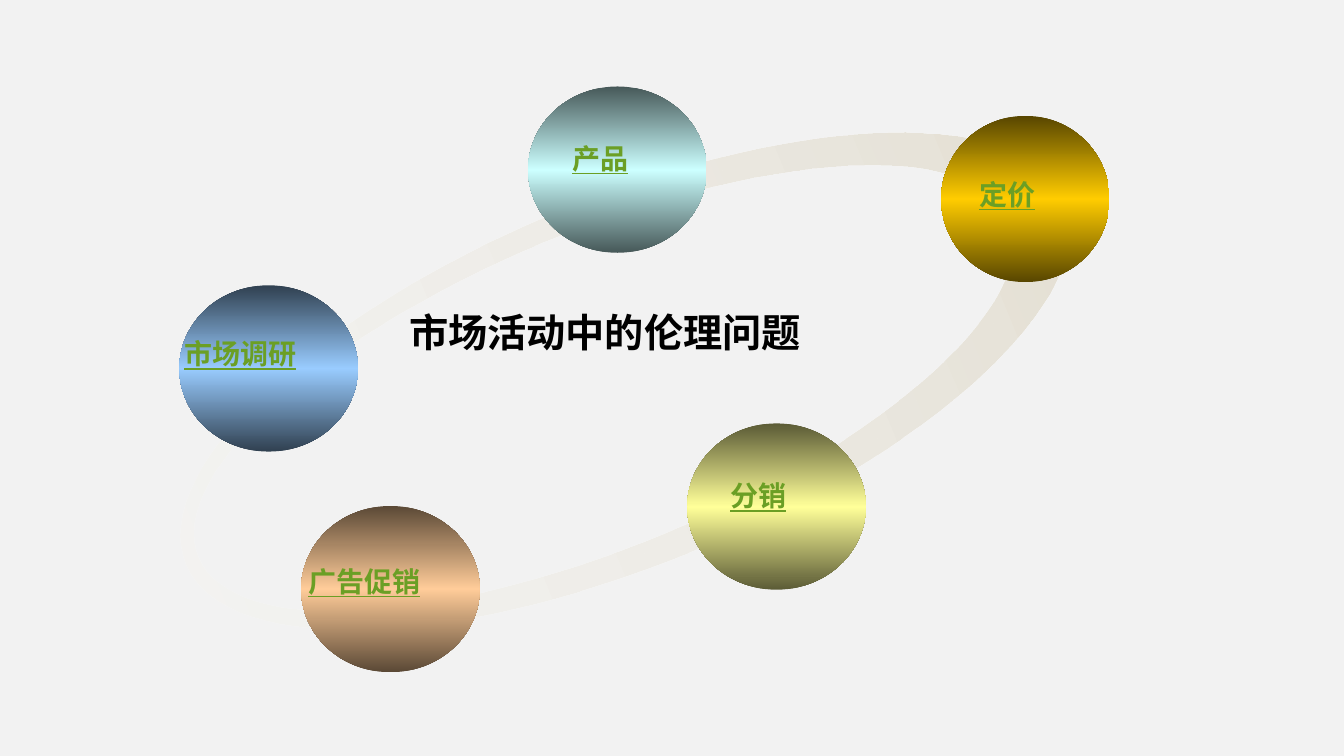
from dataclasses import dataclass
from math import cos, sin, tau

from pptx import Presentation
from pptx.dml.color import RGBColor as RGB
from pptx.enum.shapes import MSO_SHAPE as Form
from pptx.enum.text import MSO_ANCHOR as Anchor, MSO_AUTO_SIZE as Fit, PP_ALIGN as Align
from pptx.oxml.ns import qn
from pptx.util import Cm, Pt
from lxml.etree import SubElement as Sub


@dataclass(frozen=True)
class Theme:
    back: str = "F2F2F2"
    ink: str = "000000"
    link: str = "6B9F25"
    pale: str = "F7F6F2"
    sand: str = "E3DED1"
    head: int = 28
    label: int = 20
    font: str = "Arial"
    alt: str = "DejaVu Sans"


class Page:
    def __init__(self, deck, theme):
        self.theme = theme
        self.slide = deck.slides.add_slide(deck.slide_layouts[5])
        fill = self.slide.background.fill
        fill.solid()
        fill.fore_color.rgb = RGB.from_string(theme.back)

    def blend(self, shape, stops, angle):
        """Fill a shape with (position, colour, opacity) stops, in percent."""
        shape.shadow.inherit = False
        shape.line.fill.background()
        shape.fill.gradient()
        shape.fill.gradient_angle = angle
        group = shape._element.spPr.find(qn("a:gradFill")).find(qn("a:gsLst"))
        group.clear()
        for pos, color, solid in stops:
            stop = Sub(group, qn("a:gs"), pos=str(pos * 1000))
            tint = Sub(stop, qn("a:srgbClr"), val=color)
            if solid < 100:
                Sub(tint, qn("a:alpha"), val=str(solid * 1000))

    def style(self, frame, size, font, color, line=False):
        para = frame.paragraphs[0]
        para.alignment = Align.LEFT
        for run in para.runs:
            face = run.font
            face.name, face.size = font, Pt(size)
            face.bold, face.underline = True, line
            face.color.rgb = RGB.from_string(color)

    def title(self, text, left, top, width, height):
        box = self.slide.shapes.title
        box.left, box.top = Cm(left), Cm(top)
        box.width, box.height = Cm(width), Cm(height)
        frame = box.text_frame
        frame.text = text
        frame.word_wrap, frame.auto_size = True, Fit.SHAPE_TO_FIT_TEXT
        frame.vertical_anchor = Anchor.TOP
        self.style(frame, self.theme.head, self.theme.font, self.theme.ink)

    def ring(self, outer, inner, turn, steps=120):
        """Draw the band between two ellipses (x, y, half width, half height)."""
        def trace(x, y, wide, high, way):
            angles = [way * tau * i / steps for i in range(steps)]
            return [(Cm(x + wide * cos(a)), Cm(y + high * sin(a))) for a in angles]

        rim, hole = trace(*outer, 1), trace(*inner, -1)
        path = self.slide.shapes.build_freeform(*rim[0])
        path.add_line_segments(rim[1:], close=True)
        path.move_to(*hole[0])
        path.add_line_segments(hole[1:], close=True)
        band = path.convert_to_shape()
        band.rotation = turn
        self.blend(band, [(0, self.theme.pale, 36), (100, self.theme.sand, 100)], 0)

    def ball(self, left, top, width, height, edge, core):
        ball = self.slide.shapes.add_shape(
            Form.OVAL, Cm(left), Cm(top), Cm(width), Cm(height))
        self.blend(ball, [(0, edge, 100), (50, core, 100), (100, edge, 100)], 90)

    def label(self, text, left, top, width, height):
        box = self.slide.shapes.add_textbox(Cm(left), Cm(top), Cm(width), Cm(height))
        frame = box.text_frame
        frame.text = text
        frame.word_wrap, frame.auto_size = False, Fit.SHAPE_TO_FIT_TEXT
        self.style(frame, self.theme.label, self.theme.alt, self.theme.link, True)


# Each topic: text, ball left, top, width, label left, top, edge and core colour
TOPICS = [
    ("产品", 13.31, 2.18, 4.5, 14.17, 3.43, "465858", "CCFFFF"),
    ("市场调研", 4.52, 7.19, 4.5, 4.39, 8.36, "304050", "99CCFF"),
    ("广告促销", 7.59, 12.75, 4.5, 7.52, 14.1, "5B4936", "FFCC99"),
    ("分销", 17.32, 10.67, 4.5, 18.16, 11.94, "5B5B36", "FFFF99"),
    ("定价", 23.72, 2.92, 4.24, 24.43, 4.34, "584600", "FFCC00"),
]


def main():
    deck = Presentation()
    deck.slide_width, deck.slide_height = Cm(33.87), Cm(19.05)
    page = Page(deck, Theme())

    # Tilted orbit, with its hole set off centre
    page.ring((15.76, 9.6, 12, 4.6), (15.18, 9.55, 11.06, 3.97), 337.4)

    # Topics around the orbit
    for text, x, y, wide, left, top, edge, core in TOPICS:
        page.ball(x, y, wide, 4.19, edge, core)
        page.label(text, left, top, 0.5 + 0.78 * len(text), 1.52)

    # Heading in the middle
    page.title("市场活动中的伦理问题", 10.06, 7.65, 11.76, 1.98)
    deck.save("out.pptx")


if __name__ == "__main__":
    main()
